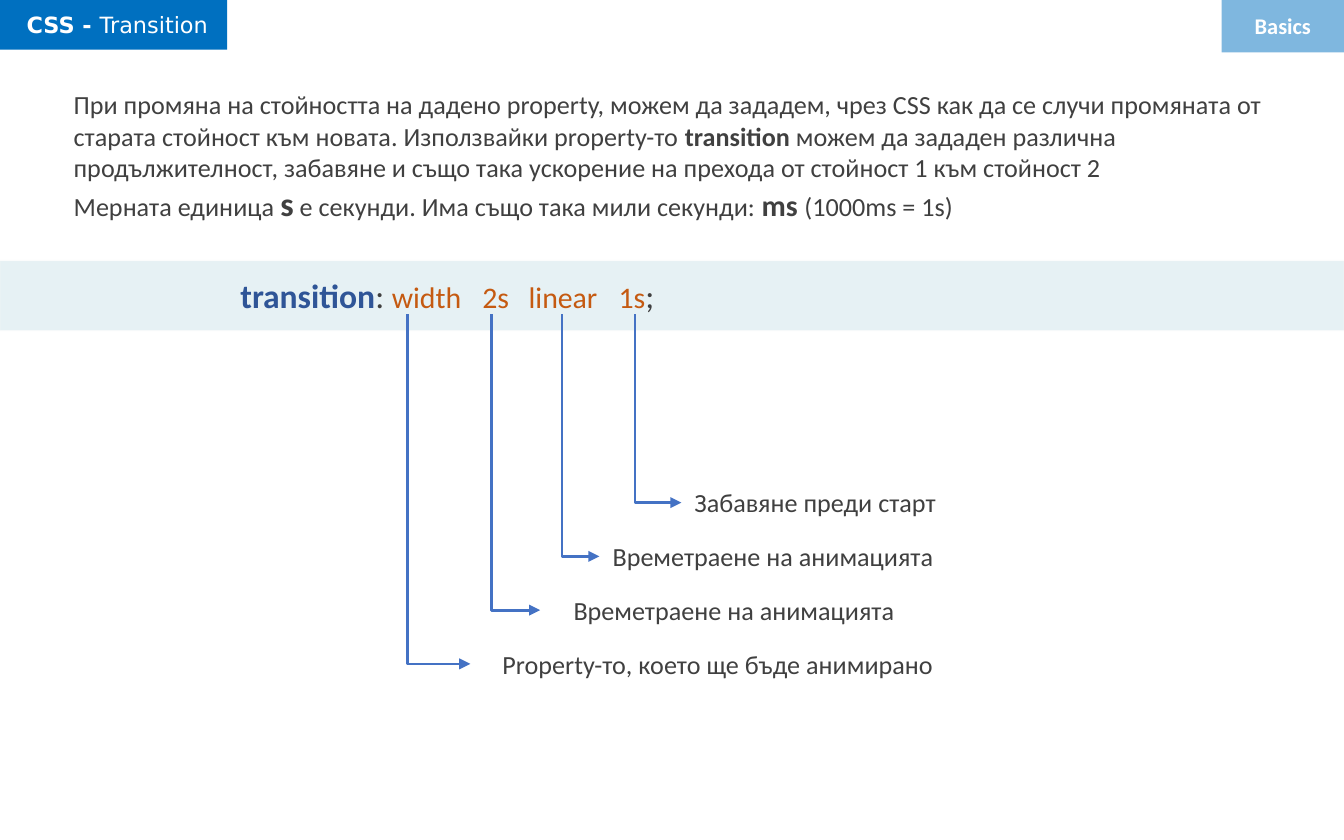
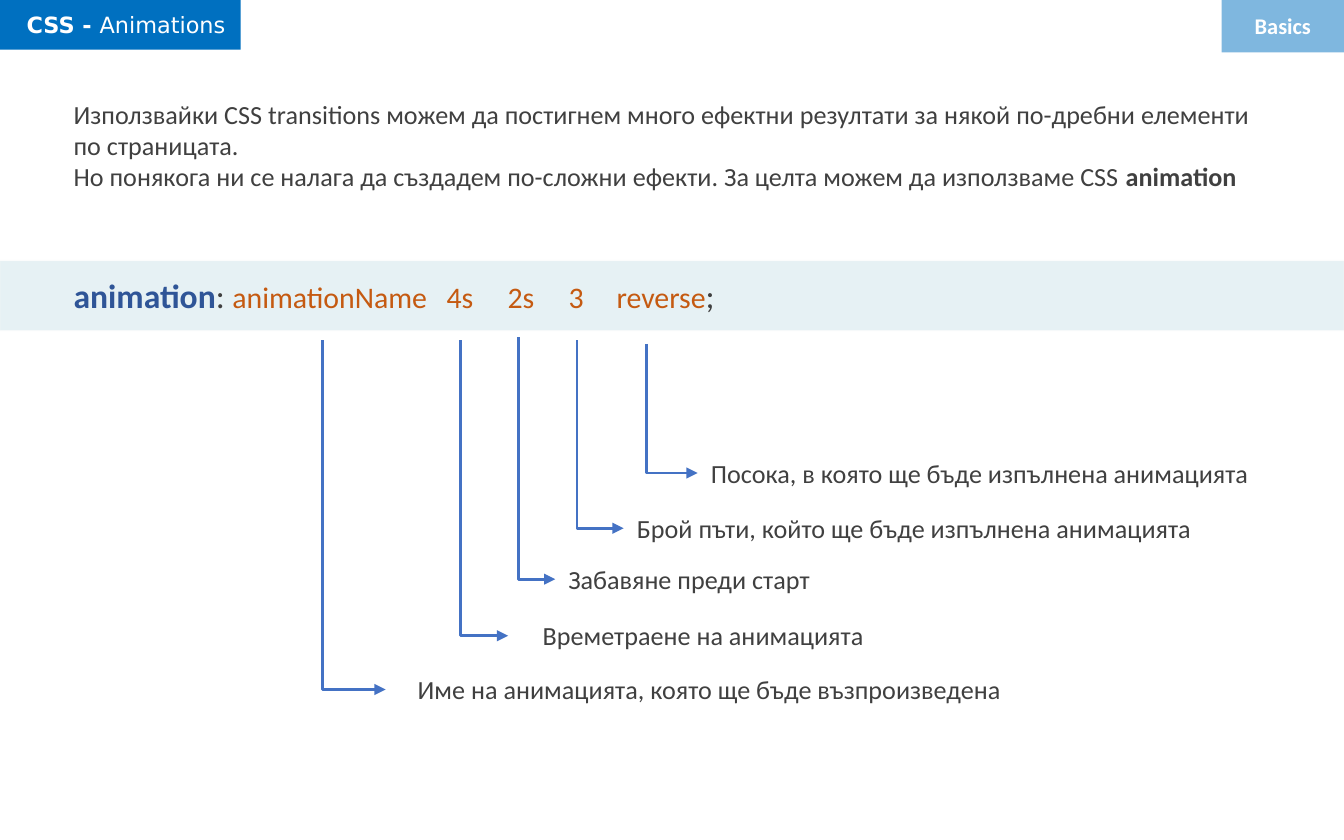
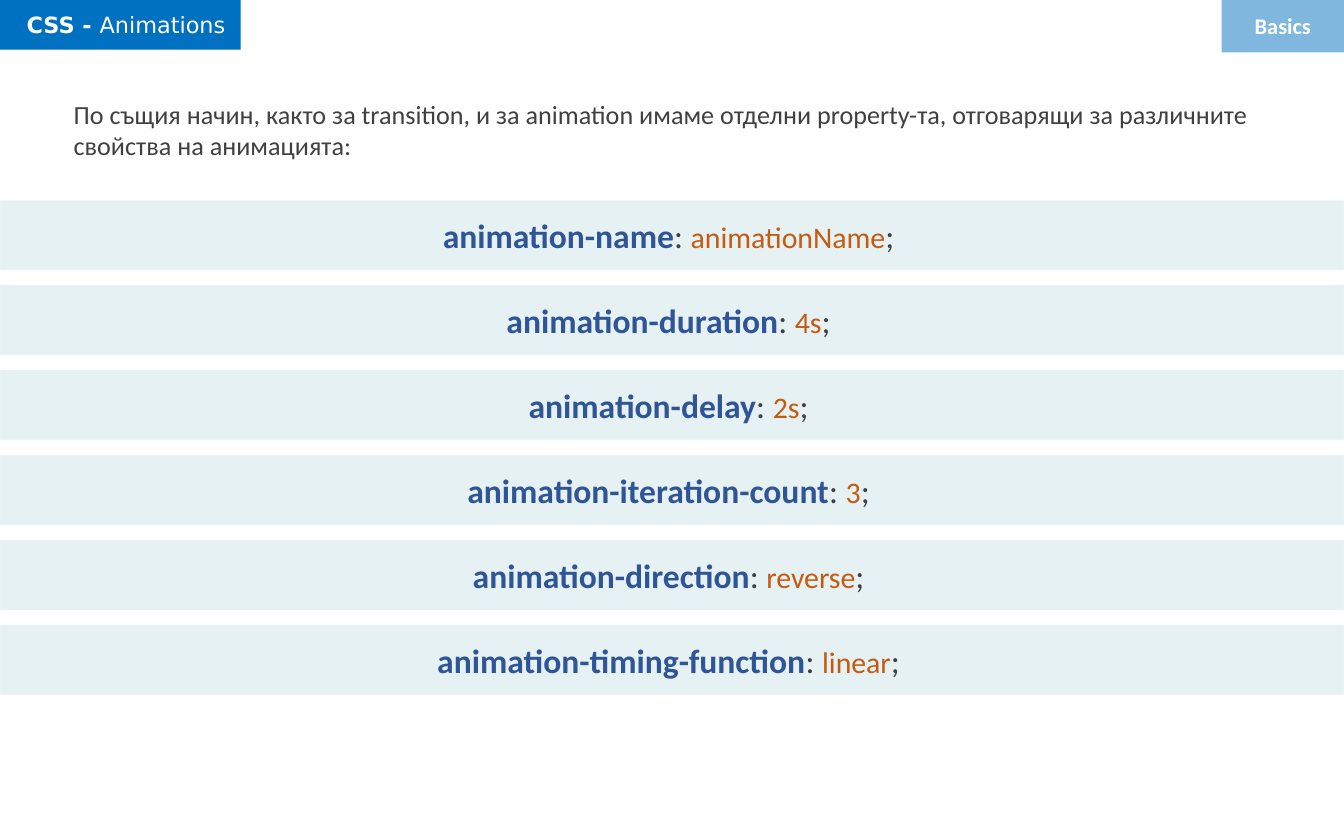
from lxml import etree
from pptx import Presentation
from pptx.dml.color import RGBColor
from pptx.enum.shapes import MSO_CONNECTOR as Connector, MSO_SHAPE as Shape
from pptx.enum.text import MSO_AUTO_SIZE as AutoSize, PP_ALIGN as Align
from pptx.oxml.ns import qn
from pptx.util import Pt

WIDTH, HEIGHT = 720, 450
BLUE = RGBColor(0x00, 0x70, 0xC0)
TEAL = RGBColor(0x12, 0x79, 0x94)
PALE = RGBColor(0xF8, 0xF8, 0xF8)
WHITE = RGBColor(0xFF, 0xFF, 0xFF)
GREY = RGBColor(0x40, 0x40, 0x40)
NAVY = RGBColor(0x2F, 0x55, 0x97)
ORANGE = RGBColor(0xC5, 0x5A, 0x11)
ARROW_BLUE = RGBColor(0x44, 0x72, 0xC4)

# Run styles: font, size, colour, bold
PLAIN = ("Calibri", 14, GREY, False)
STRONG = ("Calibri", 14, GREY, True)
STRONG_16 = ("Calibri", 16, GREY, True)
STRONG_18 = ("Calibri", 18, GREY, True)
PROPERTY = ("Calibri", 18, NAVY, True)
PUNCTUATION = ("Calibri", 18, GREY, False)
VALUE = ("Calibri", 16, ORANGE, False)
TAG = ("Calibri", 12, WHITE, True)
TITLE_BOLD = ("DejaVu Sans", 12, WHITE, True)
TITLE = ("DejaVu Sans", 12, WHITE, False)

BODY_LEFT, BODY_WIDTH = 32.4, 652.3
TAG_LEFT, TAG_WIDTH = 654.5, 65.5
HEADER_HEIGHT, HEADER_TEXT_HEIGHT = 28.1, 21.8
BAND_HEIGHT, CODE_INSET, CODE_HEIGHT = 37.4, 4.3, 28.8
SYNTAX_BAND_TOP = 139.7
LABEL_HEIGHT = 24.2

# Callouts: arrow start x, start y, tip x, tip y, gap to label, label width, label
SYNTAX_SLIDES = [
    {
        "topic": "Transition", "title_width": 121.7,
        "body_top": 43.9, "body_height": 80.2,
        "body": [
            [("При промяна на стойността на дадено property, можем да зададем, чрез CSS как да се "
              "случи промяната от старата стойност към новата. Използвайки property-то ", PLAIN),
             ("transition ", STRONG),
             ("можем да зададен различна продължителност, забавяне и също така ускорение на "
              "прехода от стойност 1 към стойност 2", PLAIN)],
            [("Мерната единица ", PLAIN), ("s", STRONG_18),
             (" е секунди. Има също така мили секунди: ", PLAIN),
             ("ms ", STRONG_16), ("(1000ms = 1s)", PLAIN)],
        ],
        "property": "transition", "values": ["width", "2s", "linear", "1s"],
        "tabs": [129.6, 154.4, 202.6], "code_left": 121.7, "code_width": 238.3,
        "callouts": [
            (218.2, 168.5, 252, 355.7, 10.1, 257, "Property-то, което ще бъде анимирано"),
            (263.5, 168.5, 289.4, 326.9, 10.8, 192.2, "Времетраене на анимацията"),
            (301, 168.5, 321.1, 298.1, 0, 192.2, "Времетраене на анимацията"),
            (340.2, 168.5, 365, 269.3, 0, 148.3, "Забавяне преди старт"),
        ],
    },
    {
        "topic": "Animations", "title_width": 128.9,
        "body_top": 49, "body_height": 58.3,
        "body": [
            [("Използвайки CSS transitions можем да постигнем много ефектни резултати за някой "
              "по-дребни елементи по страницата.", PLAIN)],
            [("Но понякога ни се налага да създадем по-сложни ефекти. За целта можем да "
              "използваме CSS ", PLAIN), ("animation", STRONG)],
        ],
        "property": "animation", "values": ["animationName", "4s", "2s", "3", "reverse"],
        "tabs": [199.8, 232.5, 265.2, 290.9], "code_left": 32.4, "code_width": 415.4,
        "callouts": [
            (172.8, 182.2, 206.6, 369.4, 10.1, 347.8,
             "Име на анимацията, която ще бъде възпроизведена"),
            (246.7, 182.2, 272.2, 340.6, 11.5, 192.2, "Времетраене на анимацията"),
            (277.7, 180.7, 297.4, 310.3, 0, 192.2, "Забавяне преди старт"),
            (309.1, 182.2, 334.1, 283, 0, 360.7,
             "Брой пъти, който ще бъде изпълнена анимацията"),
            (346.3, 184.3, 373.7, 253.4, 0, 310.3,
             "Посока, в която ще бъде изпълнена анимацията"),
        ],
    },
]

PROPERTIES_SLIDE = {
    "topic": "Animations", "title_width": 128.9, "body_top": 49, "body_height": 41,
    "body": [[("По същия начин, както за transition, и за animation имаме отделни property-та, "
               "отговарящи за различните свойства на анимацията:", PLAIN)]],
    "properties": [
        ("animation-name", "animationName"),
        ("animation-duration", "4s"),
        ("animation-delay", "2s"),
        ("animation-iteration-count", "3"),
        ("animation-direction", "reverse"),
        ("animation-timing-function", "linear"),
    ],
}
FIRST_BAND_TOP, BAND_PITCH = 107.3, 45.5
LIST_LEFT, LIST_WIDTH = 150.5, 415.4


def set_opacity(fill_parent, percent):
    """Make the solid colour directly under this element partly transparent."""
    color = fill_parent.find(qn("a:solidFill"))[0]
    etree.SubElement(color, qn("a:alpha"), val=str(percent * 1000))


def add_text(slide, left, top, width, height, paragraphs, align=Align.LEFT):
    box = slide.shapes.add_textbox(Pt(left), Pt(top), Pt(width), Pt(height))
    frame = box.text_frame
    frame.word_wrap = True
    frame.auto_size = AutoSize.SHAPE_TO_FIT_TEXT
    for index, runs in enumerate(paragraphs):
        paragraph = frame.add_paragraph() if index else frame.paragraphs[0]
        paragraph.alignment = align
        for text, (font, size, color, bold) in runs:
            run = paragraph.add_run()
            run.text = text
            run.font.name = font
            run.font.size = Pt(size)
            run.font.color.rgb = color
            run.font.bold = bold
    return box


def add_rectangle(slide, left, top, width, height, color, opacity=100):
    shape = slide.shapes.add_shape(Shape.RECTANGLE, Pt(left), Pt(top), Pt(width), Pt(height))
    shape.shadow.inherit = False
    shape.fill.solid()
    shape.fill.fore_color.rgb = color
    shape.line.fill.background()
    if opacity < 100:
        set_opacity(shape._element.spPr, opacity)
    return shape


def add_code_band(slide, top, left, width, name, value, align=Align.LEFT):
    """Draw a full-width tinted band with one CSS declaration on it."""
    band = add_rectangle(slide, 0, top, WIDTH, BAND_HEIGHT, TEAL, 10)
    band.line.color.rgb = PALE
    band.line.width = Pt(1)
    set_opacity(band._element.spPr.find(qn("a:ln")), 16)
    runs = [(name, PROPERTY), (": ", PUNCTUATION), (value, VALUE), (";", PUNCTUATION)]
    return add_text(slide, left, top + CODE_INSET, width, CODE_HEIGHT, [runs], align)


def set_tabs(paragraph, positions):
    tab_list = etree.SubElement(paragraph._p.get_or_add_pPr(), qn("a:tabLst"))
    for position in positions:
        etree.SubElement(tab_list, qn("a:tab"), pos=str(Pt(position)), algn="l")


def add_elbow_arrow(slide, left, top, right, bottom):
    """Draw an arrow that runs down first and then right."""
    # The preset runs right then down, so its box is turned about the same centre.
    center_x, center_y = (left + right) / 2, (top + bottom) / 2
    half_width, half_height = (bottom - top) / 2, (right - left) / 2
    arrow = slide.shapes.add_connector(
        Connector.ELBOW,
        Pt(center_x - half_width), Pt(center_y - half_height),
        Pt(center_x + half_width), Pt(center_y + half_height))
    arrow.line.color.rgb = ARROW_BLUE
    arrow.line.width = Pt(1.5)
    properties = arrow._element.spPr
    properties.find(qn("a:prstGeom")).set("prst", "bentConnector2")
    transform = properties.find(qn("a:xfrm"))
    transform.set("rot", str(270 * 60000))
    transform.set("flipH", "1")
    etree.SubElement(properties.find(qn("a:ln")), qn("a:tailEnd"), type="triangle")
    etree.SubElement(properties, qn("a:effectLst"))


def add_callout(slide, start_x, start_y, tip_x, tip_y, gap, width, label):
    add_elbow_arrow(slide, start_x, start_y, tip_x, tip_y)
    add_text(slide, tip_x + gap, tip_y - LABEL_HEIGHT / 2, width, LABEL_HEIGHT,
             [[(label, PLAIN)]])


def add_base_slide(presentation, content):
    """Add a slide with its body text, section tag and title bar."""
    slide = presentation.slides.add_slide(presentation.slide_layouts[6])
    add_text(slide, BODY_LEFT, content["body_top"], BODY_WIDTH, content["body_height"],
             content["body"])
    add_rectangle(slide, TAG_LEFT, 0, TAG_WIDTH, HEADER_HEIGHT, BLUE, 50)
    add_text(slide, TAG_LEFT, 2.9, TAG_WIDTH, HEADER_TEXT_HEIGHT, [[("Basics", TAG)]],
             Align.CENTER)
    title_width = content["title_width"]
    add_rectangle(slide, 0, -1.5, title_width, HEADER_HEIGHT, BLUE)
    add_text(slide, 7.2, 2.2, title_width - 7.2, HEADER_TEXT_HEIGHT,
             [[("CSS - ", TITLE_BOLD), (content["topic"], TITLE)]])
    return slide


def add_syntax_slide(presentation, content):
    slide = add_base_slide(presentation, content)
    code = add_code_band(slide, SYNTAX_BAND_TOP, content["code_left"], content["code_width"],
                         content["property"], "\t".join(content["values"]))
    set_tabs(code.text_frame.paragraphs[0], content["tabs"])
    for callout in content["callouts"]:
        add_callout(slide, *callout)


def add_properties_slide(presentation, content):
    slide = add_base_slide(presentation, content)
    for index, (name, value) in enumerate(content["properties"]):
        add_code_band(slide, FIRST_BAND_TOP + index * BAND_PITCH, LIST_LEFT, LIST_WIDTH,
                      name, value, Align.CENTER)


def main():
    presentation = Presentation()
    presentation.slide_width, presentation.slide_height = Pt(WIDTH), Pt(HEIGHT)
    for content in SYNTAX_SLIDES:
        add_syntax_slide(presentation, content)
    add_properties_slide(presentation, PROPERTIES_SLIDE)
    presentation.save("out.pptx")


if __name__ == "__main__":
    main()
